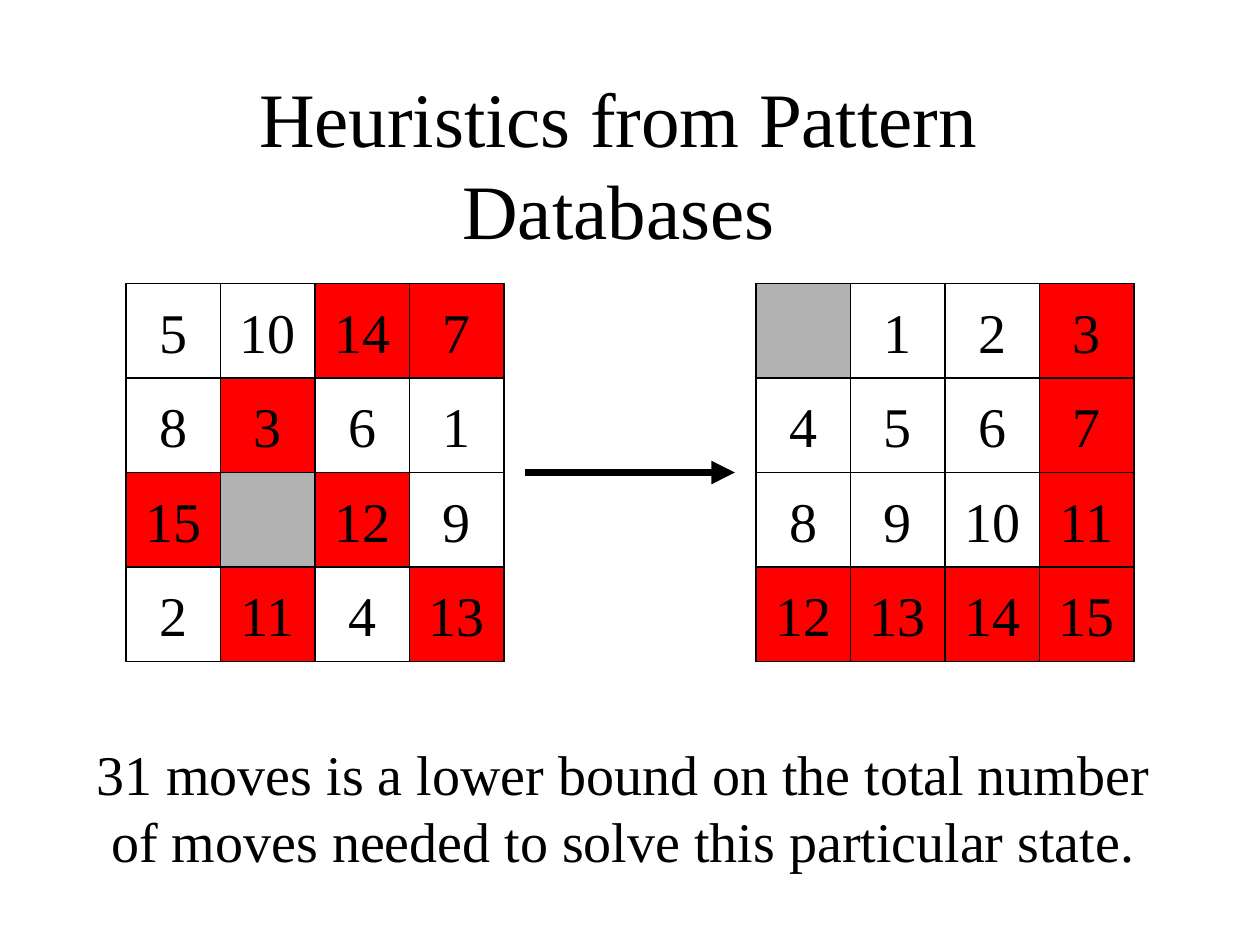
from pptx import Presentation
from pptx.dml.color import RGBColor
from pptx.enum.shapes import MSO_CONNECTOR, MSO_SHAPE
from pptx.enum.text import MSO_ANCHOR, MSO_AUTO_SIZE, PP_ALIGN
from pptx.oxml.ns import qn
from pptx.util import Pt
from lxml import etree

STRAIGHT = MSO_CONNECTOR.STRAIGHT
RECT = MSO_SHAPE.RECTANGLE
MIDDLE = MSO_ANCHOR.MIDDLE
CENTER = PP_ALIGN.CENTER
NO_AUTOFIT = MSO_AUTO_SIZE.NONE

BLACK = RGBColor(0x00, 0x00, 0x00)
RED = RGBColor(0xFF, 0x00, 0x00)
GRAY = RGBColor(0xB2, 0xB2, 0xB2)
FONT = "Times New Roman"

CELL = 54
SIZE = 4
BOARD = SIZE * CELL
TOP = 162
PATTERN = {3, 7, 11, 12, 13, 14, 15}
GOAL = list(range(16))
START = [5, 10, 14, 7, 8, 3, 6, 1, 15, 0, 12, 9, 2, 11, 4, 13]


def set_text(shape, text, size, wrap=True):
    tf = shape.text_frame
    tf.text = text
    tf.word_wrap = wrap
    tf.auto_size = NO_AUTOFIT
    tf.vertical_anchor = MIDDLE
    p = tf.paragraphs[0]
    p.alignment = CENTER
    p.font.size = Pt(size)
    p.font.name = FONT
    p.font.color.rgb = BLACK


def add_line(shapes, x1, y1, x2, y2, width):
    line = shapes.add_connector(STRAIGHT, Pt(x1), Pt(y1), Pt(x2), Pt(y2))
    line.line.color.rgb = BLACK
    line.line.width = Pt(width)
    etree.SubElement(line._element.spPr, qn("a:effectLst"))
    return line


prs = Presentation()
prs.slide_width, prs.slide_height = Pt(720), Pt(540)
s = prs.slides.add_slide(prs.slide_layouts[5])

title = s.shapes.title
title.left, title.top, title.width, title.height = Pt(48), Pt(48), Pt(611), Pt(90)
set_text(title, "Heuristics from Pattern Databases", 44)

for left, tiles in ((432, GOAL), (72, START)):
    board = s.shapes.add_group_shape().shapes
    squares = [(left, TOP, BOARD, None)]
    for i, tile in enumerate(tiles):
        row, col = divmod(i, SIZE)
        squares.append((left + col * CELL, TOP + row * CELL, CELL, tile))
    for x, y, side, tile in squares:
        sp = board.add_shape(RECT, Pt(x), Pt(y), Pt(side), Pt(side))
        sp.shadow.inherit = False
        sp.line.color.rgb = BLACK
        sp.line.width = Pt(0.75)
        if tile == 0 or tile in PATTERN:
            sp.fill.solid()
            sp.fill.fore_color.rgb = RED if tile else GRAY
        else:
            sp.fill.background()
        if tile:
            set_text(sp, str(tile), 32, wrap=False)
    for k in range(1, SIZE):
        x, y = left + k * CELL, TOP + k * CELL
        add_line(board, x, TOP, x, TOP + BOARD, 0.75)
        add_line(board, left, y, left + BOARD, y, 0.75)

arrow = add_line(s.shapes, 300, 270, 420, 270, 4.5)
etree.SubElement(arrow.line._get_or_add_ln(), qn("a:tailEnd"), type="triangle")

caption = s.shapes.add_textbox(Pt(42), Pt(419), Pt(628.5), Pt(84))
set_text(
    caption,
    "31 moves is a lower bound on the total number of moves needed to solve this particular state.",
    32,
)

prs.save("out.pptx")
